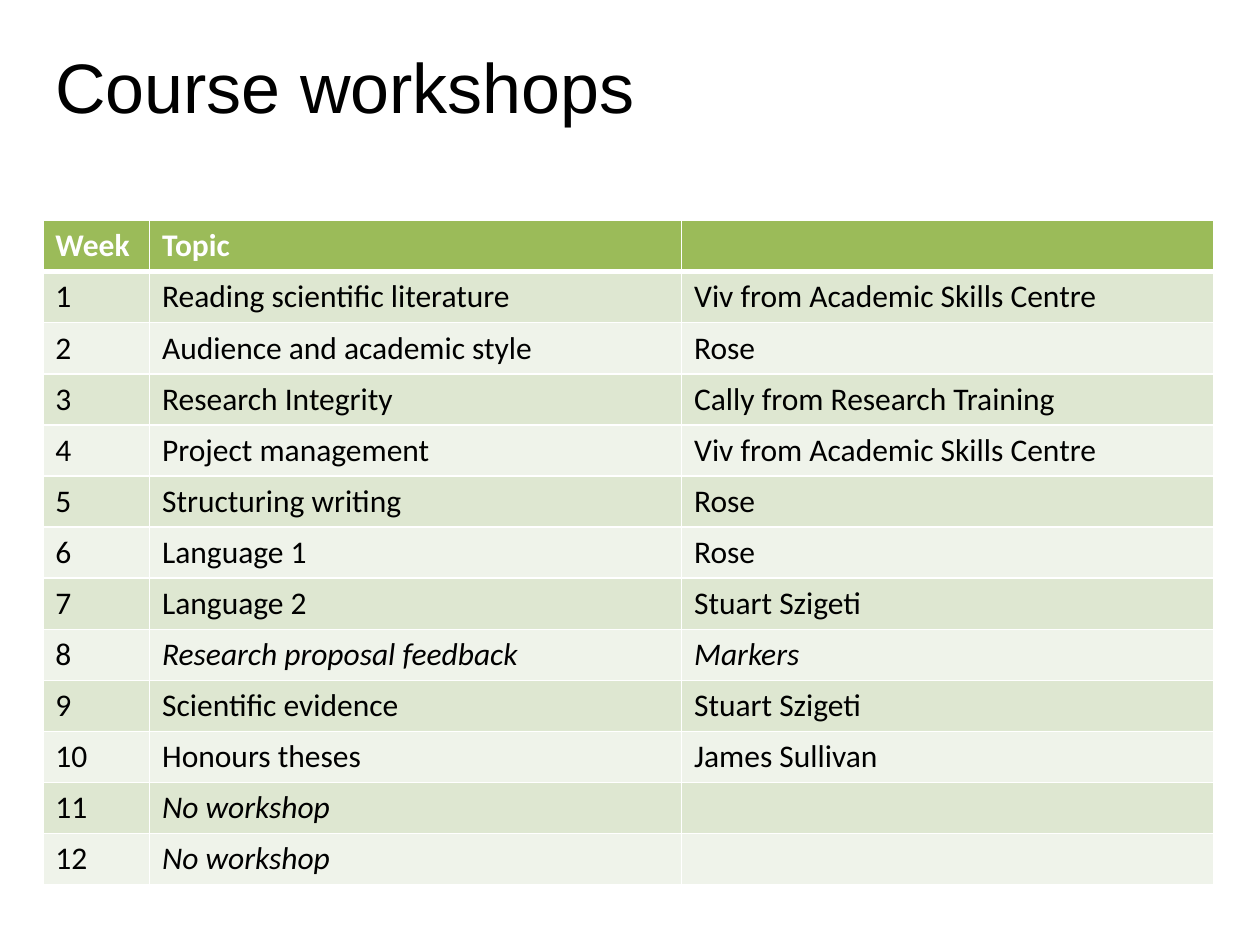
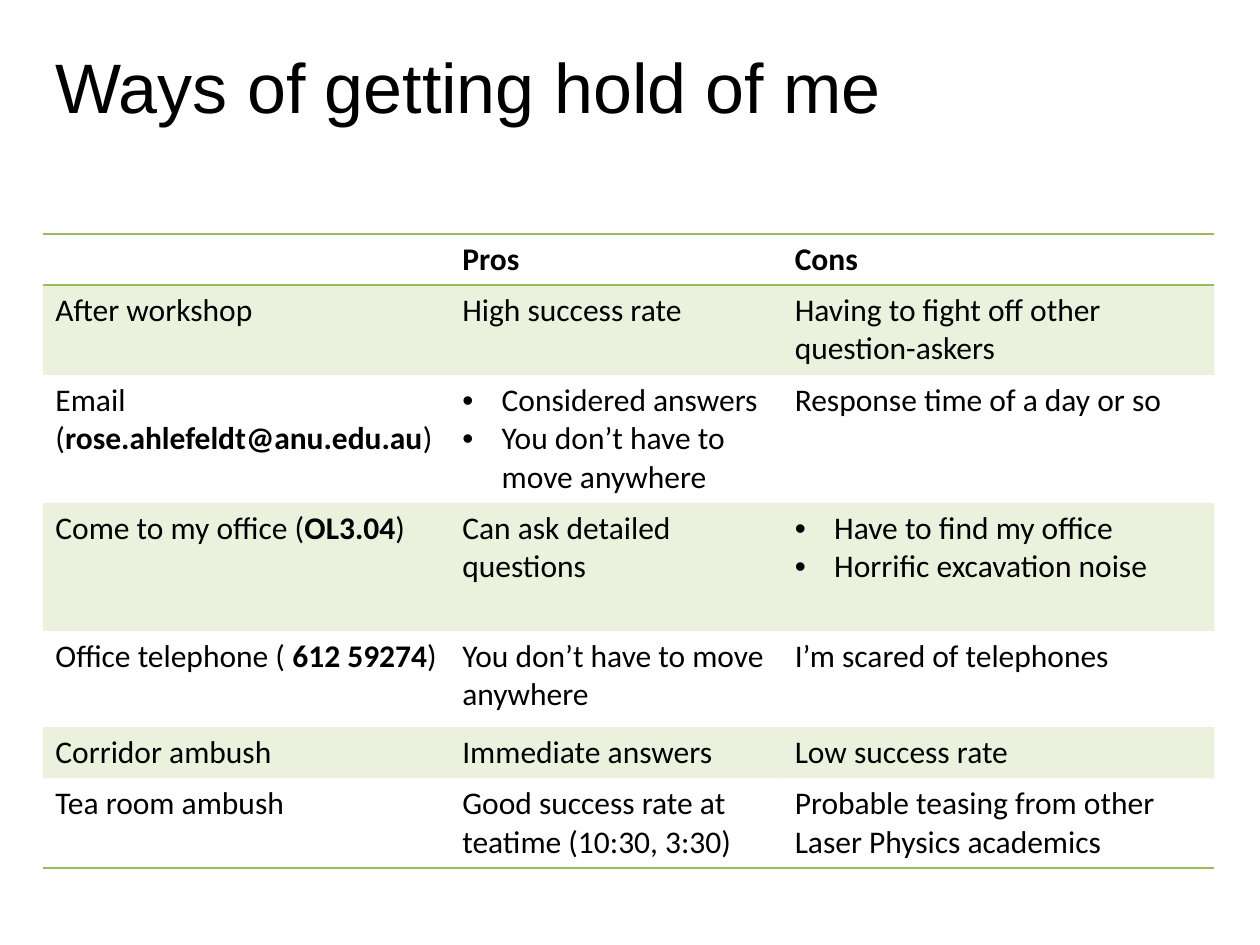
from dataclasses import dataclass

from lxml import etree
from pptx import Presentation
from pptx.dml.color import RGBColor
from pptx.enum.text import MSO_ANCHOR, PP_ALIGN
from pptx.oxml.ns import qn
from pptx.util import Pt

LEFT = PP_ALIGN.LEFT
MIDDLE = MSO_ANCHOR.MIDDLE
TITLE_ONLY = 5
SIDES = ("L", "R", "T", "B")


@dataclass(frozen=True)
class Theme:
    """Colours, fonts, sizes and boxes shared by the slides."""
    black: str = "000000"
    white: str = "FFFFFF"
    green: str = "9BBB59"
    dark_band: str = "DEE7D1"
    light_band: str = "EFF3EA"
    title_font: str = "Arial"
    table_font: str = "Calibri"
    title_size: float = 40
    table_size: float = 18
    bullet_indent: float = 22.5
    tint_percent: int = 20
    row_height: float = 29.2
    title_box: tuple = (24.5, 3.6, 542, 90)


THEME = Theme()

WORKSHOPS = [
    ("Reading scientific literature", "Viv from Academic Skills Centre"),
    ("Audience and academic style", "Rose"),
    ("Research Integrity", "Cally from Research Training"),
    ("Project management", "Viv from Academic Skills Centre"),
    ("Structuring writing", "Rose"),
    ("Language 1", "Rose"),
    ("Language 2", "Stuart Szigeti"),
    ("Research proposal feedback", "Markers"),
    ("Scientific evidence", "Stuart Szigeti"),
    ("Honours theses", "James Sullivan"),
    ("No workshop", ""),
    ("No workshop", ""),
]
ITALIC_WEEKS = {8, 11, 12}

CONTACT_WAYS = [
    ("", "Pros", "Cons"),
    ("After workshop", "High success rate", "Having to fight off other question-askers"),
    ("Email (**rose.ahlefeldt@anu.edu.au**)",
     ("Considered answers", "You don’t have to move anywhere"),
     "Response time of a day or so"),
    ("Come to my office (**OL3.04**)", "Can ask detailed questions",
     ("Have to find my office", "Horrific excavation noise")),
    ("Office telephone ( **612 59274**)", "You don’t have to move anywhere",
     "I’m scared of telephones"),
    ("Corridor ambush", "Immediate answers", "Low success rate"),
    ("Tea room ambush", "Good success rate at teatime (10:30, 3:30)",
     "Probable teasing from other Laser Physics academics"),
]
CONTACT_ROW_HEIGHTS = [THEME.row_height, 51.2, 73.2, 73.2, 55, THEME.row_height, 51.2]


def write_text(paragraph, text, font=THEME.table_font, size=THEME.table_size,
               color=THEME.black, bold=False, italic=False):
    """Write text as runs; a part between double asterisks is bold."""
    for index, part in enumerate(text.split("**")):
        if part:
            run = paragraph.add_run()
            run.text = part
            run.font.name = font
            run.font.size = Pt(size)
            run.font.color.rgb = RGBColor.from_string(color)
            run.font.bold = bold or index % 2 == 1
            run.font.italic = italic


def add_bullet(paragraph):
    """Give a paragraph a hanging round bullet."""
    properties = paragraph._p.get_or_add_pPr()
    indent = Pt(THEME.bullet_indent)
    properties.set("marL", str(indent))
    properties.set("indent", str(-indent))
    etree.SubElement(properties, qn("a:buFont"), typeface="Arial")
    etree.SubElement(properties, qn("a:buChar"), char="•")


def fill_cell(cell, content, **text_format):
    """Write a string, or a tuple as a bulleted list, into a cell."""
    bulleted = isinstance(content, tuple)
    for index, text in enumerate(content if bulleted else (content,)):
        frame = cell.text_frame
        paragraph = frame.add_paragraph() if index else frame.paragraphs[0]
        if bulleted:
            add_bullet(paragraph)
        write_text(paragraph, text, **text_format)


def set_borders(cell, borders):
    """Set each side to a (colour, width) pair, or to no line if it is missing."""
    properties = cell._tc.get_or_add_tcPr()
    for side in SIDES:
        line = etree.SubElement(properties, qn(f"a:ln{side}"))
        if side in borders:
            color, width = borders[side]
            line.set("w", str(Pt(width)))
            solid = etree.SubElement(line, qn("a:solidFill"))
            etree.SubElement(solid, qn("a:srgbClr"), val=color)
        else:
            etree.SubElement(line, qn("a:noFill"))


def paint_cell(cell, color, percent=100):
    """Fill a cell with a colour at the given opacity."""
    cell.fill.solid()
    cell.fill.fore_color.rgb = RGBColor.from_string(color)
    if percent < 100:
        color_element = cell._tc.tcPr.find(f"{qn('a:solidFill')}/{qn('a:srgbClr')}")
        etree.SubElement(color_element, qn("a:alpha"), val=str(percent * 1000))


def add_titled_slide(presentation, title):
    """Add a slide with the shared title style."""
    slide = presentation.slides.add_slide(presentation.slide_layouts[TITLE_ONLY])
    shape = slide.shapes.title
    shape.left, shape.top, shape.width, shape.height = map(Pt, THEME.title_box)
    shape.text_frame.vertical_anchor = MIDDLE
    paragraph = shape.text_frame.paragraphs[0]
    paragraph.alignment = LEFT
    write_text(paragraph, title, font=THEME.title_font, size=THEME.title_size)
    return slide


def add_plain_table(slide, left, top, column_widths, row_heights):
    """Add a table without banding, sized by its columns and rows."""
    table = slide.shapes.add_table(
        len(row_heights), len(column_widths), Pt(left), Pt(top),
        Pt(sum(column_widths)), Pt(sum(row_heights))).table
    table.first_row = table.horz_banding = False
    for column, width in zip(table.columns, column_widths):
        column.width = Pt(width)
    for row, height in zip(table.rows, row_heights):
        row.height = Pt(height)
    return table


def add_workshop_table(slide, left, top):
    """Add the weekly programme with a green header and two band colours."""
    rows = [("Week", "Topic", "")]
    rows += [(str(week), *entry) for week, entry in enumerate(WORKSHOPS, 1)]
    table = add_plain_table(slide, left, top, (61, 304, 304),
                            [THEME.row_height] * len(rows))
    thin, thick = (THEME.white, 1), (THEME.white, 3)
    for week, row in enumerate(rows):
        header = week == 0
        band = THEME.dark_band if week % 2 else THEME.light_band
        borders = dict.fromkeys(SIDES, thin)
        if header:
            borders["B"] = thick
        elif week == 1:
            borders["T"] = thick
        for column, content in enumerate(row):
            cell = table.cell(week, column)
            set_borders(cell, borders)
            paint_cell(cell, THEME.green if header else band)
            fill_cell(cell, content, bold=header,
                      color=THEME.white if header else THEME.black,
                      italic=column > 0 and week in ITALIC_WEEKS)


def add_contact_table(slide, left, top):
    """Add the pros and cons with green rules and tinted alternate rows."""
    table = add_plain_table(slide, left, top, (232.5, 190, 247), CONTACT_ROW_HEIGHTS)
    rule = (THEME.green, 1)
    row_borders = {0: {"T": rule, "B": rule}, 1: {"T": rule},
                   len(CONTACT_WAYS) - 1: {"B": rule}}
    for row_index, row in enumerate(CONTACT_WAYS):
        for column, content in enumerate(row):
            cell = table.cell(row_index, column)
            set_borders(cell, row_borders.get(row_index, {}))
            if row_index % 2:
                paint_cell(cell, THEME.green, THEME.tint_percent)
            else:
                cell.fill.background()
            fill_cell(cell, content, bold=row_index == 0)


def main():
    """Build both slides and save the presentation."""
    presentation = Presentation()
    presentation.slide_width, presentation.slide_height = Pt(720), Pt(540)
    workshops = add_titled_slide(presentation, "Course workshops")
    add_workshop_table(workshops, 24.5, 126)
    contact = add_titled_slide(presentation, "Ways of getting hold of me")
    add_contact_table(contact, 24.5, 133.8)
    presentation.save("out.pptx")


if __name__ == "__main__":
    main()
